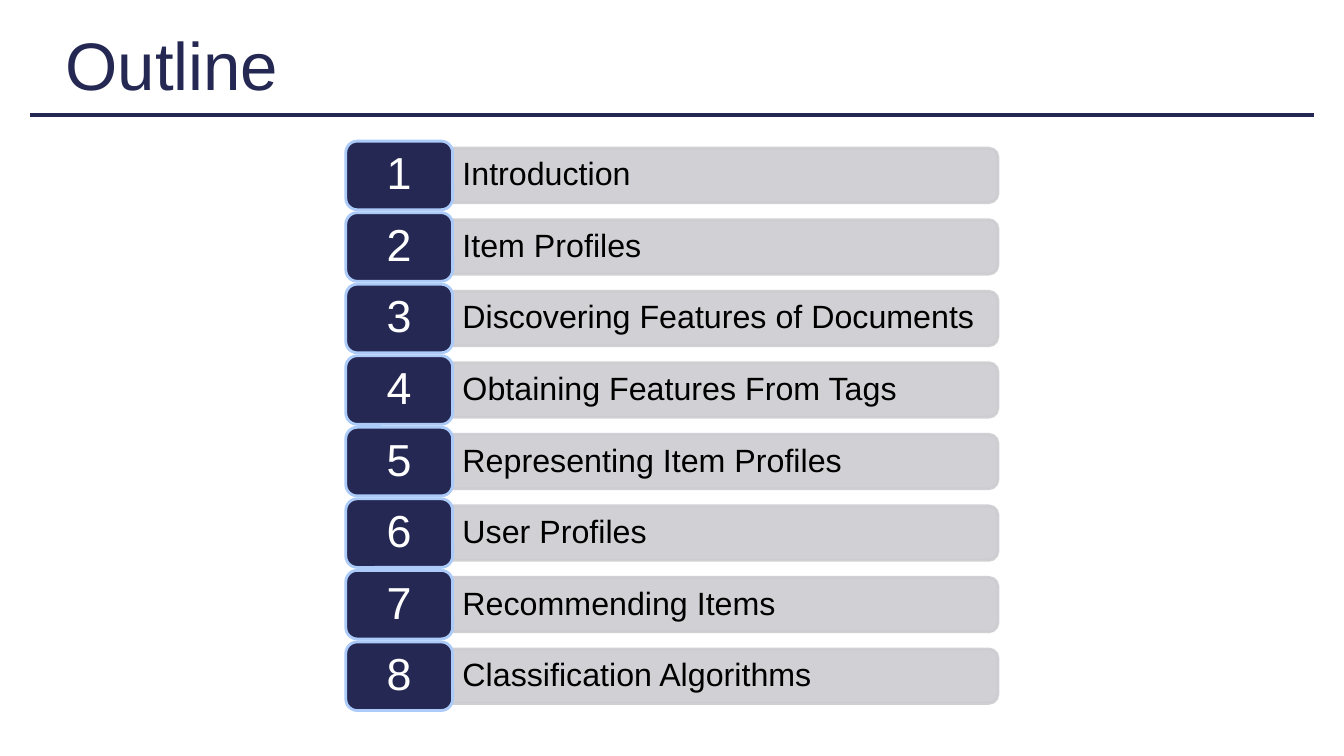
from dataclasses import dataclass
from lxml.etree import SubElement
from pptx import Presentation
from pptx.dml.color import RGBColor
from pptx.enum.shapes import MSO_CONNECTOR, MSO_SHAPE
from pptx.enum.text import MSO_ANCHOR, MSO_AUTO_SIZE, PP_ALIGN
from pptx.oxml.ns import qn
from pptx.util import Pt

# Content
TITLE = "Outline"
TOPICS = [
    "Introduction",
    "Item Profiles",
    "Discovering Features of Documents",
    "Obtaining Features From Tags",
    "Representing Item Profiles",
    "User Profiles",
    "Recommending Items",
    "Classification Algorithms",
]


@dataclass(frozen=True)
class Theme:
    font: str = "Arial"
    navy: str = "242852"
    sky: str = "ACCBF9"
    gray: str = "CDCDD1"
    black: str = "000000"
    white: str = "FFFFFF"
    title: int = 48
    number: int = 32
    topic: int = 23


THEME = Theme()

# Layout in points
MID, STEP = 125.3, 51.1  # centre of the first row, row pitch
BADGE = (247, 76.3, 49)  # left, width, height
BAR = (322.6, 390.2, 38.9)
LABEL = (323.3, 388, 35.3)


def rgb(color):
    return RGBColor.from_string(color)


def place(row, box):
    left, width, height = box
    top = MID + row * STEP - height / 2
    return [Pt(n) for n in (left, top, width, height)]


def paint(shape, fill, line):
    shape.shadow.inherit = False
    shape.fill.solid()
    shape.fill.fore_color.rgb = rgb(fill)
    shape.line.color.rgb = rgb(line)
    shape.line.width = Pt(2)


def write(shape, text, size, color, align, anchor, space, inset=(7.2, 3.6)):
    frame = shape.text_frame
    frame.auto_size = MSO_AUTO_SIZE.NONE
    frame.word_wrap = True
    frame.vertical_anchor = anchor
    frame.margin_left = frame.margin_right = Pt(inset[0])
    frame.margin_top = frame.margin_bottom = Pt(inset[1])
    para = frame.paragraphs[0]
    para.text = text
    para.alignment = align
    para.line_spacing = space
    para.font.name = THEME.font
    para.font.size = Pt(size)
    para.font.color.rgb = rgb(color)


def add_bar(shapes, row):
    # A tall shape turned a quarter, so its round corners face right
    left, width, height = BAR
    mid = left + width / 2
    top = MID + row * STEP - width / 2
    bar = shapes.add_shape(MSO_SHAPE.ROUND_2_SAME_RECTANGLE,
                           Pt(mid - height / 2), Pt(top), Pt(height), Pt(width))
    bar.rotation = 90
    paint(bar, THEME.gray, THEME.gray)
    for color in bar._element.spPr.iter(qn("a:srgbClr")):
        SubElement(color, qn("a:alpha"), val="90000")


def add_topic(shapes, row, topic):
    add_bar(shapes, row)
    label = shapes.add_textbox(*place(row, LABEL))
    write(label, topic, THEME.topic, THEME.black,
          PP_ALIGN.LEFT, MSO_ANCHOR.MIDDLE, 0.9)
    badge = shapes.add_shape(MSO_SHAPE.ROUNDED_RECTANGLE, *place(row, BADGE))
    paint(badge, THEME.navy, THEME.sky)
    write(badge, str(row + 1), THEME.number, THEME.white,
          PP_ALIGN.CENTER, MSO_ANCHOR.MIDDLE, 0.9, (11.5, 7.2))


def main():
    deck = Presentation()
    deck.slide_width, deck.slide_height = Pt(960), Pt(540)
    slide = deck.slides.add_slide(deck.slide_layouts[5])
    shapes = slide.shapes

    # Title and rule
    title = shapes.title
    title.left, title.top, title.width, title.height = (
        Pt(39.6), Pt(14.4), Pt(882), Pt(63.4))
    write(title, TITLE, THEME.title, THEME.navy,
          PP_ALIGN.LEFT, MSO_ANCHOR.BOTTOM, 0.85)
    rule = shapes.add_connector(MSO_CONNECTOR.STRAIGHT,
                                Pt(21.6), Pt(82), Pt(938.4), Pt(82))
    rule.line.color.rgb = rgb(THEME.navy)
    rule.line.width = Pt(3)
    SubElement(rule._element.spPr, qn("a:effectLst"))

    # Numbered topics
    for row, topic in enumerate(TOPICS):
        add_topic(shapes, row, topic)

    deck.save("out.pptx")


if __name__ == "__main__":
    main()
